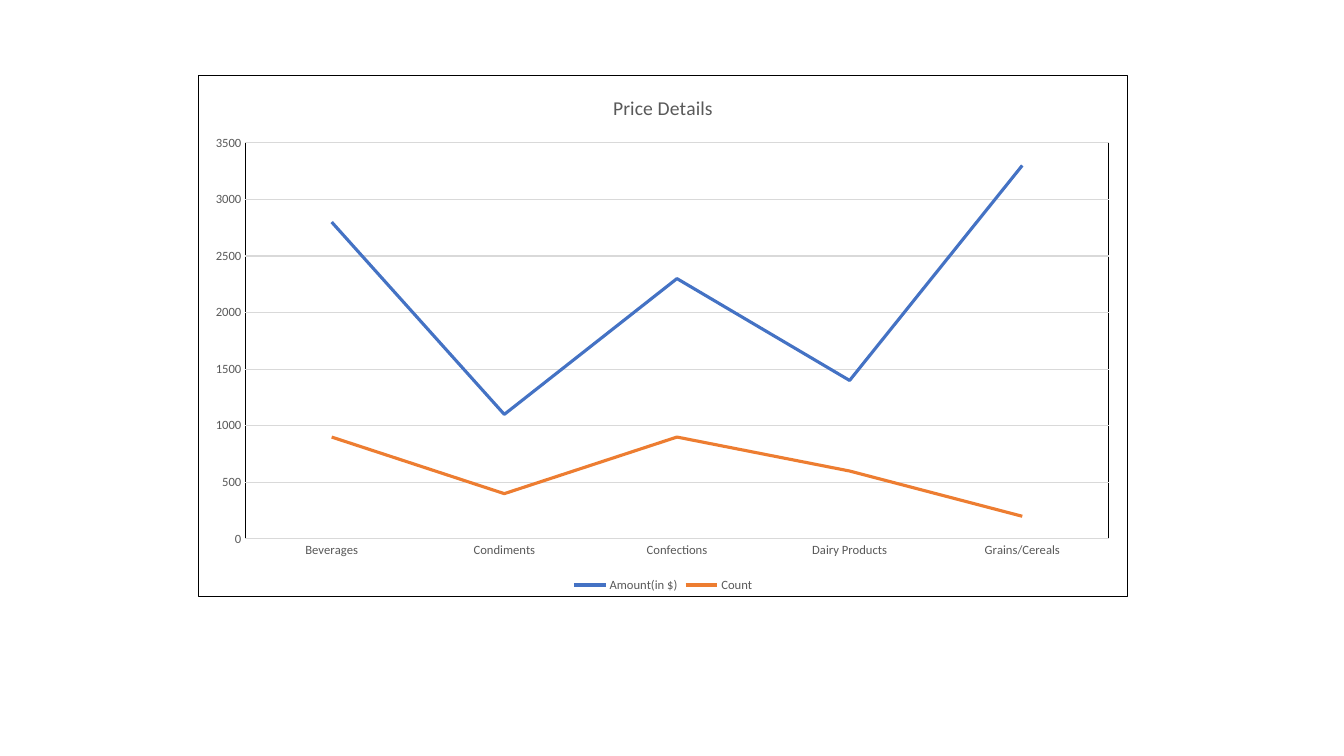
"""Build a slide with a line chart of price details by product category."""
from lxml import etree
from pptx import Presentation
from pptx.chart.data import CategoryChartData
from pptx.dml.color import RGBColor
from pptx.enum import chart as ce
from pptx.oxml import parse_xml
from pptx.oxml.ns import nsdecls, qn
from pptx.util import Cm, Pt

BLACK = RGBColor(0x00, 0x00, 0x00)
GREY = RGBColor(0x59, 0x59, 0x59)
LIGHT = RGBColor(0xD9, 0xD9, 0xD9)
BLUE = RGBColor(0x44, 0x72, 0xC4)
ORANGE = RGBColor(0xED, 0x7D, 0x31)

CATEGORIES = ["Beverages", "Condiments", "Confections", "Dairy Products", "Grains/Cereals"]
SERIES = [
    ("Amount(in $)", (2800, 1100, 2300, 1400, 3300), BLUE),
    ("Count", (900, 400, 900, 600, 200), ORANGE),
]
PLOT = {"x": 0.05, "y": 0.13, "w": 0.93, "h": 0.76}


def format_font(font, size, color):
    """Set the typeface, size, weight and colour of a font."""
    for name, value in {"name": "Calibri", "size": Pt(size), "bold": False}.items():
        setattr(font, name, value)
    font.color.rgb = color


def format_line(line, color, width):
    """Set the colour and width of a line."""
    line.color.rgb = color
    line.width = Pt(width)


def outline(color):
    """Return chart shape properties with a thin outline and no fill."""
    return parse_xml(
        f'<c:spPr {nsdecls("c", "a")}><a:noFill/><a:ln w="{Pt(0.75)}">'
        f'<a:solidFill><a:srgbClr val="{color}"/></a:solidFill></a:ln></c:spPr>')


def place_plot(plot_area):
    """Fix the inner plot area as fractions of the chart."""
    for old in plot_area.findall(qn("c:layout")):
        plot_area.remove(old)
    layout = parse_xml(f'<c:layout {nsdecls("c")}><c:manualLayout/></c:layout>')
    settings = {"layoutTarget": "inner", "xMode": "edge", "yMode": "edge", **PLOT}
    for name, value in settings.items():
        etree.SubElement(layout[0], qn(f"c:{name}")).set("val", str(value))
    plot_area.insert(0, layout)


def format_axes(chart):
    """Format both axes and the horizontal gridlines."""
    for axis in (chart.category_axis, chart.value_axis):
        axis.major_tick_mark = axis.minor_tick_mark = ce.XL_TICK_MARK.NONE
        format_font(axis.tick_labels.font, 9, GREY)
    format_line(chart.category_axis.format.line, LIGHT, 0.75)
    axis = chart.value_axis
    axis.format.line.fill.background()
    format_line(axis.major_gridlines.format.line, LIGHT, 0.75)
    for name, value in {"minimum_scale": 0, "maximum_scale": 3500, "major_unit": 500}.items():
        setattr(axis, name, value)


def add_line_chart(s, title, left, top, width, height):
    """Add the framed line chart with its title and legend."""
    data = CategoryChartData()
    data.categories = CATEGORIES
    for name, values, _ in SERIES:
        data.add_series(name, values)
    chart = s.shapes.add_chart(
        ce.XL_CHART_TYPE.LINE, left, top, width, height, data).chart
    format_font(chart.font, 10, BLACK)
    tf = chart.chart_title.text_frame
    tf.text = title
    format_font(tf.paragraphs[0].runs[0].font, 14, GREY)
    chart.has_legend = True
    chart.legend.position = ce.XL_LEGEND_POSITION.BOTTOM
    chart.legend.include_in_layout = False
    format_font(chart.legend.font, 9, GREY)
    format_axes(chart)
    plot = chart.plots[0]
    plot.vary_by_categories = False
    for series, (_, _, color) in zip(plot.series, SERIES):
        series.smooth = False
        series.marker.style = ce.XL_MARKER_STYLE.NONE
        format_line(series.format.line, color, 2.25)
    root = chart.element
    plot_area = root.find(qn("c:chart")).find(qn("c:plotArea"))
    place_plot(plot_area)
    plot_area.append(outline(BLACK))
    root.find(qn("c:chart")).addnext(outline(BLACK))


def main():
    """Create the presentation and save it."""
    prs = Presentation()
    prs.slide_width, prs.slide_height = Cm(33.87), Cm(19.05)
    s = prs.slides.add_slide(prs.slide_layouts[6])
    add_line_chart(s, "Price Details", Cm(5), Cm(1.88), Cm(23.42), Cm(13.16))
    prs.save("out.pptx")


if __name__ == "__main__":
    main()
